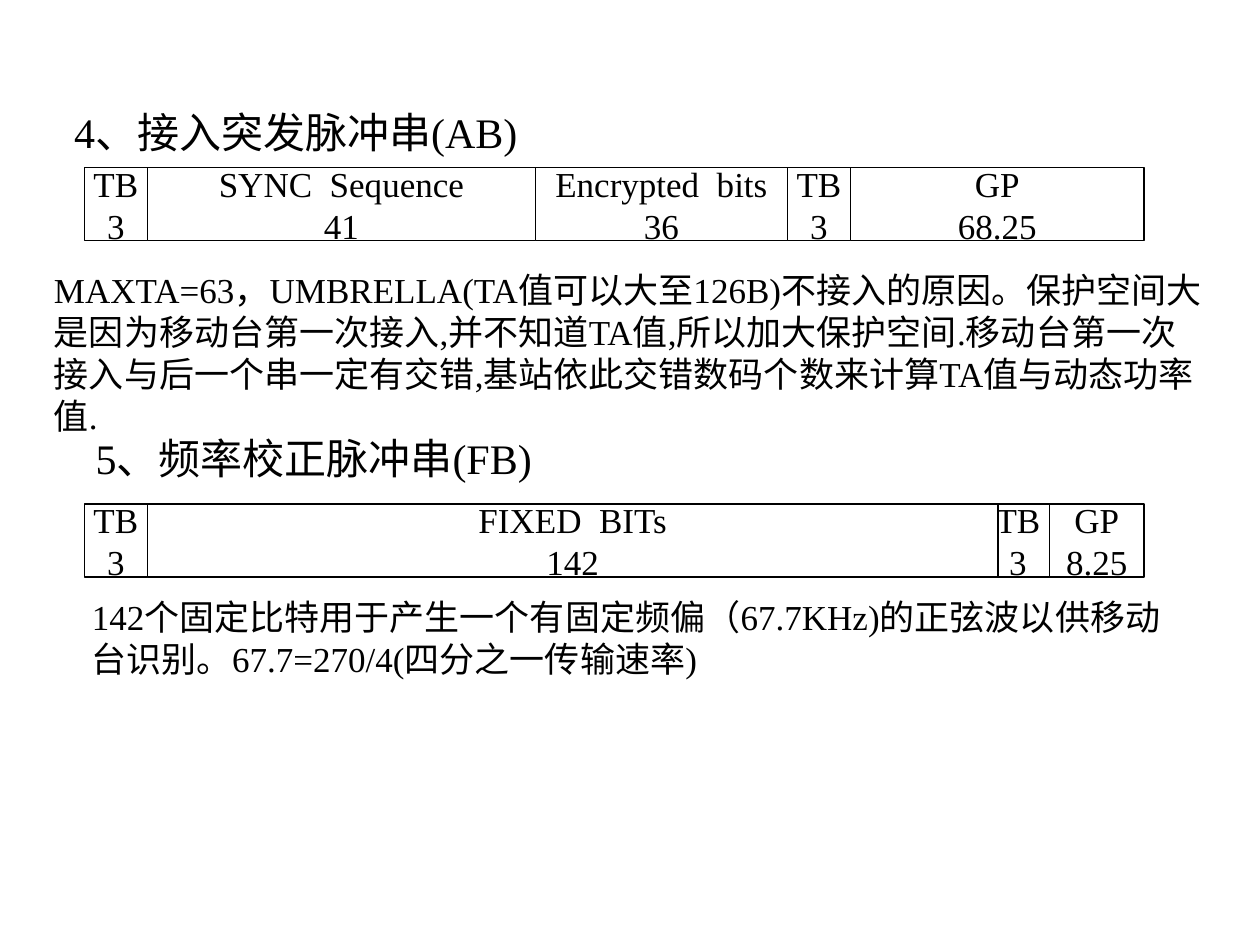
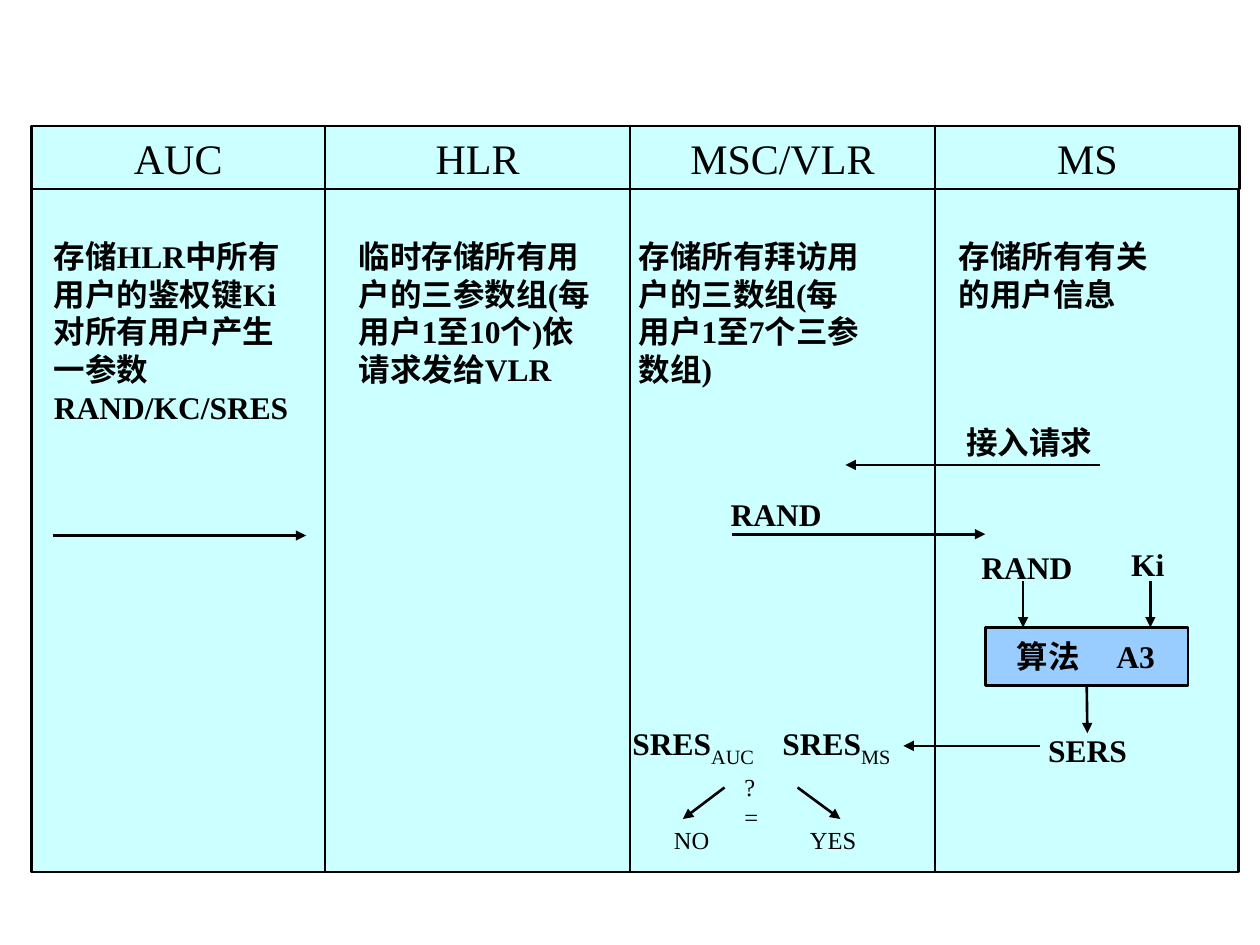
from dataclasses import dataclass

from lxml import etree
from pptx import Presentation
from pptx.dml.color import RGBColor
from pptx.enum import shapes, text
from pptx.oxml import ns
from pptx.util import Inches, Pt


@dataclass(frozen=True)
class Theme:
    font: str = "Times New Roman"
    ink: str = "000000"
    paper: str = "FFFFFF"
    panel: str = "CCFFFF"
    accent: str = "99CCFF"
    heading: int = 24
    body: int = 20
    label: int = 18
    small: int = 14
    thin: float = 0.75
    thick: float = 1.5


THEME = Theme()
BOLD_LABEL = {"size": THEME.label, "bold": True}
SUBSCRIPT = {"size": THEME.body, "bold": False, "baseline": -25000}


# Text
def add_run(paragraph, words, size, bold=False, baseline=None):
    run = paragraph.add_run()
    run.text = words
    formats = {"name": THEME.font, "size": Pt(size), "bold": bold}
    for key, value in formats.items():
        setattr(run.font, key, value)
    run.font.color.rgb = RGBColor.from_string(THEME.ink)
    if baseline:
        run.font._element.set("baseline", str(baseline))


def add_tab_stop(paragraph, position):
    stops = etree.SubElement(paragraph._p.get_or_add_pPr(), ns.qn("a:tabLst"))
    etree.SubElement(stops, ns.qn("a:tab"), pos=str(Inches(position)), algn="l")


def write(shape, paragraphs, style, tab=None, **frame_formats):
    """Each paragraph is a string or a list of (words, style) runs."""
    frame = shape.text_frame
    for key, value in frame_formats.items():
        setattr(frame, key, value)
    for index, content in enumerate(paragraphs):
        paragraph = frame.add_paragraph() if index else frame.paragraphs[0]
        paragraph.alignment = text.PP_ALIGN.LEFT
        if tab:
            add_tab_stop(paragraph, tab)
        runs = [(content, style)] if isinstance(content, str) else content
        for words, run_style in runs:
            add_run(paragraph, words, **run_style)


def add_note(slide, box, paragraphs, style, wrap=True, tab=None):
    note = slide.shapes.add_textbox(*map(Inches, box))
    write(note, paragraphs, style, tab, word_wrap=wrap,
          auto_size=text.MSO_AUTO_SIZE.SHAPE_TO_FIT_TEXT)


# Boxes and lines
def add_box(slide, box, fill, weight):
    shape = slide.shapes.add_shape(shapes.MSO_SHAPE.RECTANGLE, *map(Inches, box))
    shape.shadow.inherit = False
    shape.fill.solid()
    shape.fill.fore_color.rgb = RGBColor.from_string(fill)
    shape.line.color.rgb = RGBColor.from_string(THEME.ink)
    shape.line.width = Pt(weight)
    return shape


def add_centred_box(slide, box, fill, weight, lines, size):
    shape = add_box(slide, box, fill, weight)
    write(shape, lines, {"size": size}, word_wrap=False,
          vertical_anchor=text.MSO_ANCHOR.MIDDLE)
    for paragraph in shape.text_frame.paragraphs:
        paragraph.alignment = text.PP_ALIGN.CENTER


def add_line(slide, start, end, arrow=False):
    line = slide.shapes.add_connector(
        shapes.MSO_CONNECTOR.STRAIGHT, *map(Inches, (*start, *end)))
    line.line.color.rgb = RGBColor.from_string(THEME.ink)
    line.line.width = Pt(THEME.thick)
    if arrow:
        etree.SubElement(line.line._get_or_add_ln(), ns.qn("a:tailEnd"), type="triangle")
    etree.SubElement(line._element.spPr, ns.qn("a:effectLst"))
    return line


# Burst formats
def add_burst(slide, top, fields):
    for left, width, name, bits in fields:
        add_centred_box(slide, (left, top, width, 0.58), THEME.paper, THEME.thin,
                        [name, bits], THEME.body)


def build_bursts(slide):
    heading, body = {"size": THEME.heading}, {"size": THEME.body}

    # Frequency correction burst: the fixed bits overlap the second tail
    add_burst(slide, 4, [
        (0.67, 0.5, "TB", "3"),
        (7.83, 0.5, "TB", "3"),
        (8.33, 0.75, "GP", "8.25"),
        (1.17, 6.75, "FIXED  BITs", "142"),
    ])
    # Access burst
    add_burst(slide, 1.33, [
        (0.67, 0.5, "TB", "3"),
        (6.25, 0.5, "TB", "3"),
        (6.75, 2.33, "GP", "68.25"),
        (1.17, 3.08, "SYNC  Sequence", "41"),
        (4.25, 2, "Encrypted  bits", "36"),
    ])

    # Headings and explanations
    add_note(slide, (0.49, 0.8, 3.88, 0.5), ["4、接入突发脉冲串(AB)"], heading, wrap=False)
    add_note(slide, (0.33, 2.08, 9.33, 1.44), [
        "MAXTA=63，UMBRELLA(TA值可以大至126B)不接入的原因。保护空间大是因为"
        "移动台第一次接入,并不知道TA值,所以加大保护空间.移动台第一次接入与后一个串"
        "一定有交错,基站依此交错数码个数来计算TA值与动态功率值."], body)
    add_note(slide, (0.66, 3.38, 3.82, 0.5), ["5、频率校正脉冲串(FB)"], heading, wrap=False)
    add_note(slide, (0.63, 4.68, 8.88, 0.77), [
        "142个固定比特用于产生一个有固定频偏（67.7KHz)的正弦波以供移动",
        "台识别。67.7=270/4(四分之一传输速率)"], body, wrap=False)


# Authentication procedure
def build_authentication(slide):
    # Columns
    top, bottom = 1.5, 6.92
    add_box(slide, (0.25, top, 9.58, bottom - top), THEME.panel, THEME.thick)
    left = 0.25
    for entity, width in (("AUC", 2.33), ("HLR", 2.42), ("MSC/VLR", 2.42), ("MS", 2.42)):
        add_centred_box(slide, (left, 1, width, 0.5), THEME.panel, THEME.thick,
                        [entity], THEME.heading)
        if entity != "AUC":
            add_line(slide, (left, top), (left, bottom))
        left += width

    # Algorithm
    algorithm = add_box(slide, (7.82, 4.98, 1.61, 0.46), THEME.accent, THEME.thick)
    write(algorithm, ["算法\tA3"], BOLD_LABEL, tab=0.79, margin_left=Inches(0.25),
          word_wrap=True, vertical_anchor=text.MSO_ANCHOR.MIDDLE)
    result_arrow = add_line(slide, (8.63, 5.44), (8.63, 5.82), arrow=True)
    result_arrow.begin_connect(algorithm, 2)

    # Messages, algorithm inputs, response and verdicts
    for start, end in (
        ((0.42, 4.25), (2.43, 4.25)),
        ((8.73, 3.69), (6.71, 3.69)),
        ((5.81, 4.24), (7.82, 4.24)),
        ((8.12, 4.61), (8.12, 4.98)),
        ((9.13, 4.61), (9.13, 4.98)),
        ((8.25, 5.92), (7.17, 5.92)),
        ((5.75, 6.25), (5.42, 6.5)),
        ((6.33, 6.25), (6.67, 6.5)),
    ):
        add_line(slide, start, end, arrow=True)

    # Signal names
    for x, y, width, signal in (
        (7.69, 4.3, 1.01, "RAND"),
        (8.88, 4.28, 0.7, "Ki"),
        (8.22, 5.75, 0.94, "SERS"),
        (5.7, 3.88, 1.21, "RAND"),
        (7.57, 3.31, 1.59, "接入请求"),
    ):
        add_note(slide, (x, y, width, 0.4), [signal], BOLD_LABEL)

    # Comparison of the two responses
    add_note(slide, (4.92, 5.67, 2.42, 0.48), [[
        ("SRES", BOLD_LABEL), ("AUC\t", SUBSCRIPT),
        ("SRES", BOLD_LABEL), ("MS", SUBSCRIPT)]], BOLD_LABEL, tab=1.19)
    small = {"size": THEME.small}
    add_note(slide, (5.81, 6.08, 0.5, 0.57), ["?", "="], small)
    add_note(slide, (5.25, 6.5, 0.67, 0.34), ["NO"], small)
    add_note(slide, (6.33, 6.5, 0.83, 0.34), ["YES"], small)

    # Role of each entity
    for x, width, height, wrap, role in (
        (0.33, 2.2, 1.6, True,
         ["存储HLR中所有用户的鉴权键Ki对所有用户产生", "一参数", "RAND/KC/SRES"]),
        (2.75, 2.08, 1.6, True,
         ["临时存储所有用户的三参数组(每用户1至10个)依请求发给VLR"]),
        (4.97, 2.19, 1.3, False,
         ["存储所有拜访用", "户的三数组(每", "用户1至7个三参", "数组)"]),
        (7.51, 1.7, 0.7, False, ["存储所有有关", "的用户信息"]),
    ):
        add_note(slide, (x, 1.83, width, height), role, BOLD_LABEL, wrap)


def main():
    deck = Presentation()
    deck.slide_width, deck.slide_height = Inches(10), Inches(7.5)
    for build in (build_bursts, build_authentication):
        build(deck.slides.add_slide(deck.slide_layouts[6]))
    deck.save("out.pptx")


if __name__ == "__main__":
    main()
